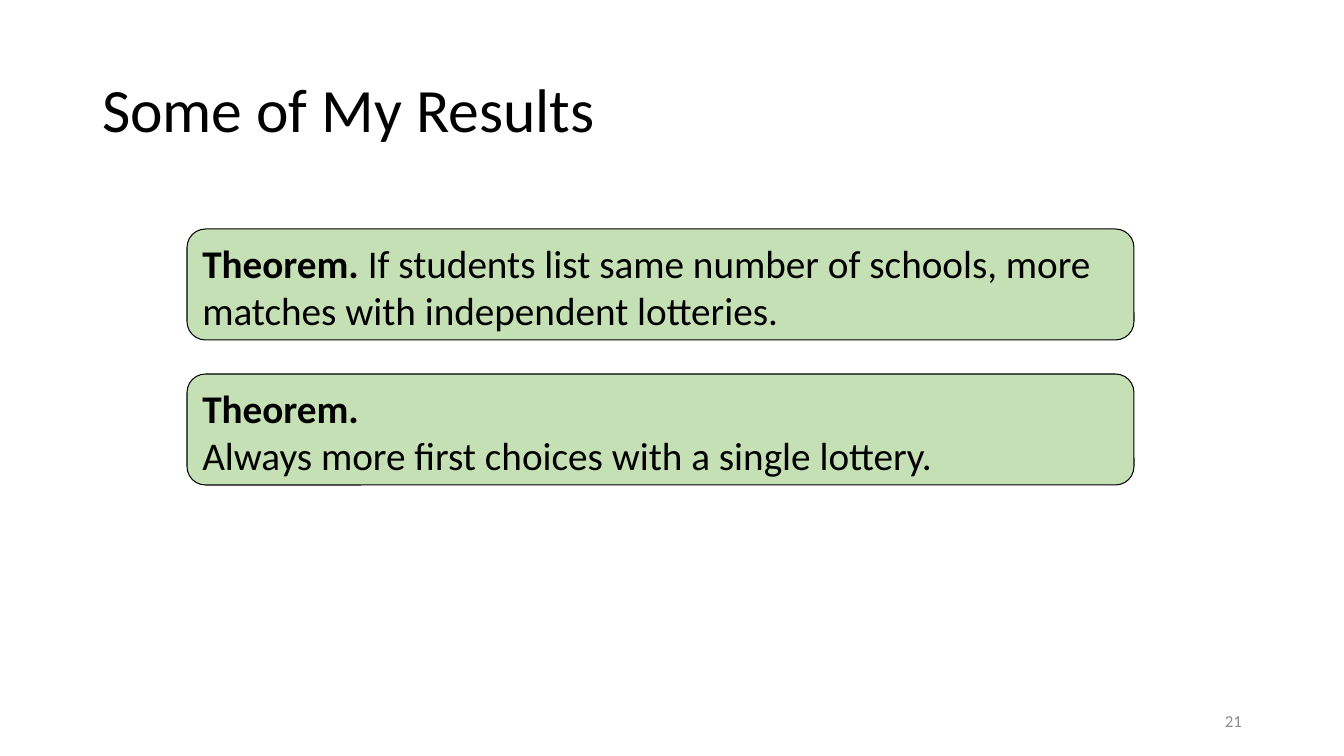
from dataclasses import dataclass

from pptx import Presentation
from pptx.dml.color import RGBColor
from pptx.enum.shapes import MSO_SHAPE as Shape
from pptx.enum.text import MSO_ANCHOR as Anchor, MSO_AUTO_SIZE as AutoSize, PP_ALIGN as Align
from pptx.util import Pt

HEADING = "Some of My Results"
PAGE = "21"
THEOREMS = [
    [[("Theorem. ", True),
      ("If students list same number of schools, more matches with independent lotteries.", False)]],
    [[("Theorem.", True)],
     [("Always more first choices with a single lottery.", False)]],
]

SLIDE_SIZE = (1344, 756)
HEADING_BOX = (92, 40, 1159, 146)
PAGE_BOX = (950, 701, 302, 40)
THEOREM_BOX = (187, 229, 947, 111)
THEOREM_PITCH = 145


@dataclass(frozen=True)
class Theme:
    font: str = "Calibri"
    ink: RGBColor = RGBColor(0, 0, 0)
    muted: RGBColor = RGBColor(0x8C, 0x8C, 0x8C)
    panel: RGBColor = RGBColor(0xC5, 0xE0, 0xB4)
    heading_size: int = 44
    theorem_size: int = 28
    page_size: int = 12
    outline: float = 0.75


THEME = Theme()


def px(length):
    return round(length * 914400 / 100.8)


def place(shape, box):
    for side, length in zip(("left", "top", "width", "height"), box):
        setattr(shape, side, px(length))


def write(frame, paragraphs, size, color, align, anchor, line_spacing=1.0):
    settings = {"word_wrap": True, "auto_size": AutoSize.NONE, "vertical_anchor": anchor}
    for key, value in settings.items():
        setattr(frame, key, value)
    for index, pieces in enumerate(paragraphs):
        line = frame.add_paragraph() if index else frame.paragraphs[0]
        line.alignment, line.line_spacing = align, line_spacing
        for words, bold in pieces:
            run = line.add_run()
            run.text = words
            run.font.color.rgb = color
            for key, value in {"name": THEME.font, "size": Pt(size), "bold": bold}.items():
                setattr(run.font, key, value)


def add_theorem(slide, order, paragraphs):
    left, top, width, height = THEOREM_BOX
    box = (left, top + order * THEOREM_PITCH, width, height)
    theorem = slide.shapes.add_shape(Shape.ROUNDED_RECTANGLE, *map(px, box))
    theorem.shadow.inherit = False
    theorem.fill.solid()
    theorem.fill.fore_color.rgb = THEME.panel
    theorem.line.color.rgb = THEME.ink
    theorem.line.width = Pt(THEME.outline)
    write(theorem.text_frame, paragraphs, THEME.theorem_size, THEME.ink, Align.LEFT, Anchor.TOP)


def main():
    deck = Presentation()
    deck.slide_width, deck.slide_height = map(px, SLIDE_SIZE)
    slide = deck.slides.add_slide(deck.slide_layouts[5])

    heading = slide.shapes.title
    place(heading, HEADING_BOX)
    write(heading.text_frame, [[(HEADING, False)]], THEME.heading_size, THEME.ink,
          Align.LEFT, Anchor.MIDDLE, 0.9)

    page = slide.shapes.add_textbox(*map(px, PAGE_BOX))
    write(page.text_frame, [[(PAGE, False)]], THEME.page_size, THEME.muted,
          Align.RIGHT, Anchor.MIDDLE)

    for order, paragraphs in enumerate(THEOREMS):
        add_theorem(slide, order, paragraphs)

    deck.save("out.pptx")


if __name__ == "__main__":
    main()
